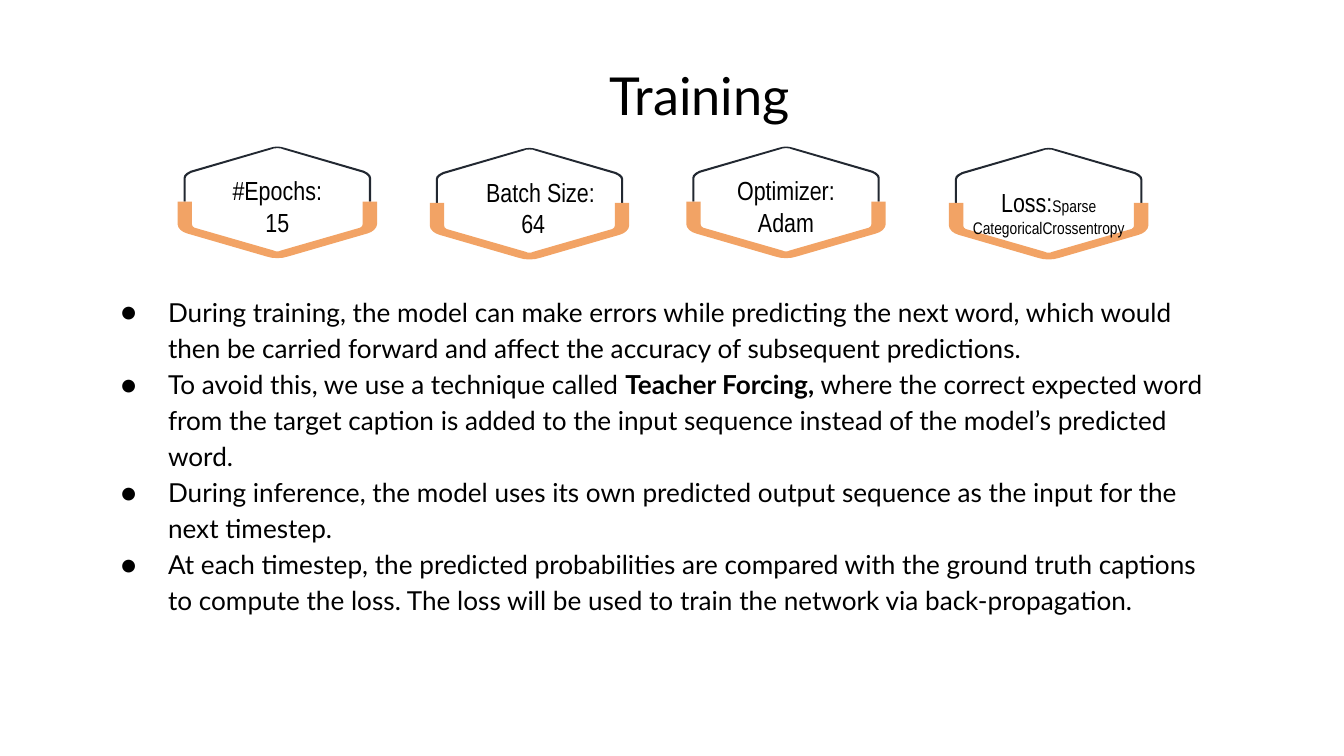
from dataclasses import dataclass

from lxml.etree import SubElement
from pptx import Presentation
from pptx.dml.color import RGBColor
from pptx.enum.text import MSO_ANCHOR, MSO_AUTO_SIZE, PP_ALIGN
from pptx.oxml.ns import qn
from pptx.util import Pt


@dataclass(frozen=True)
class Theme:
    ink: str = "000000"
    outline: str = "222831"
    accent: str = "F2A365"
    body_font: str = "Lato"
    label_font: str = "Arial Narrow"
    title_size: float = 28
    text_size: float = 14
    small_size: float = 9


@dataclass(frozen=True)
class Span:
    text: str
    size: float
    bold: bool = False


@dataclass(frozen=True)
class Line:
    spans: tuple[Span, ...]
    first_indent: float | None = None


@dataclass(frozen=True)
class Badge:
    center: float
    top: float
    lines: tuple[Line, ...]
    label_shift: float = 0
    label_height: float = 48.2


THEME = Theme()
BADGE_WIDTH = 106.8
LABEL_DROP = 7.9
BULLET_INDENT = 36
BULLET_HANG = -25.2

UPPER_HALF = (
    (0, 0), (2, 0.2), (3.9, 0.7), (46.4, 13), (48.6, 14.2), (49.8, 15.4),
    (50.2, 16.8), (50.2, 29.5), (49.1, 29.5), (49.1, 16.9), (48.6, 15.8),
    (47.4, 14.8), (45.9, 14), (3.5, 1.6), (1.8, 1), (0, 0.9),
)
LOWER_HALF = (
    (0, 59.8), (3, 59.6), (5.8, 58.9), (48.2, 46.6), (50.2, 45.8),
    (51.8, 44.7), (53, 43.2), (53.4, 41.7), (53.4, 29.5), (45.7, 29.5),
    (45.7, 41.7), (45.4, 42.7), (44.4, 43.5), (2, 55.7), (1, 56.1), (0, 56.2),
)


def plain(text: str, first_indent: float | None = None) -> Line:
    return Line((Span(text, THEME.text_size),), first_indent)


BADGES = (
    Badge(148.6, 78.5, (plain("#Epochs:"), plain("15"))),
    Badge(283.7, 79.2, (plain("Batch Size:"), plain("64", 36)), label_shift=5.9),
    Badge(421.1, 78.5, (plain("Optimizer:"), plain("Adam"))),
    Badge(561.8, 79.2, (
        Line((Span("Loss:", THEME.text_size), Span("Sparse", THEME.small_size))),
        Line((Span("CategoricalCrossentropy", THEME.small_size),)),
    ), label_height=53.3),
)
BULLETS = (
    plain("During training, the model can make errors while predicting the next word, "
          "which would then be carried forward and affect the accuracy of subsequent predictions."),
    Line((
        Span("To avoid this, we use a technique called ", THEME.text_size),
        Span("Teacher Forcing,", THEME.text_size, bold=True),
        Span(" where the correct expected word from the target caption is added to the "
             "input sequence instead of the model’s predicted word.", THEME.text_size),
    )),
    plain("During inference, the model uses its own predicted output sequence as the "
          "input for the next timestep."),
    plain("At each timestep, the predicted probabilities are compared with the ground truth "
          "captions to compute the loss. The loss will be used to train the network via "
          "back-propagation."),
)


def write(para, text: str, *, font: str, size: float, bold: bool = False) -> None:
    run = para.add_run()
    run.text = text
    run.font.name = font
    run.font.size = Pt(size)
    run.font.bold = bold
    run.font.color.rgb = RGBColor.from_string(THEME.ink)


def place(shape, left: float, top: float, width: float, height: float) -> None:
    shape.left, shape.top = Pt(left), Pt(top)
    shape.width, shape.height = Pt(width), Pt(height)


def prepare(frame, anchor: MSO_ANCHOR) -> None:
    frame.auto_size = MSO_AUTO_SIZE.NONE
    frame.word_wrap = True
    frame.vertical_anchor = anchor
    frame.margin_left = frame.margin_right = Pt(7.2)
    frame.margin_top = frame.margin_bottom = Pt(7.2)


def add_para(frame, position: int, line: Line, font: str):
    para = frame.add_paragraph() if position else frame.paragraphs[0]
    for span in line.spans:
        write(para, span.text, font=font, size=span.size, bold=span.bold)
    return para


def set_indent(para, left: float, first: float):
    properties = para._p.get_or_add_pPr()
    properties.set("marL", str(Pt(left)))
    properties.set("indent", str(Pt(first)))
    return properties


def add_bullet(para) -> None:
    properties = set_indent(para, BULLET_INDENT, BULLET_HANG)
    color = SubElement(properties, qn("a:buClr"))
    SubElement(color, qn("a:srgbClr")).set("val", THEME.ink)
    SubElement(properties, qn("a:buFont")).set("typeface", THEME.body_font)
    SubElement(properties, qn("a:buChar")).set("char", "●")


def draw_band(page, badge: Badge, half: tuple, color: str) -> None:
    outline = half + tuple((-x, y) for x, y in reversed(half))
    points = [(Pt(badge.center + x), Pt(badge.top + y)) for x, y in outline]
    builder = page.shapes.build_freeform(*points[0])
    builder.add_line_segments(points[1:], close=True)
    band = builder.convert_to_shape()
    band.shadow.inherit = False
    band.fill.solid()
    band.fill.fore_color.rgb = RGBColor.from_string(color)
    band.line.fill.background()


def draw_badge(page, badge: Badge) -> None:
    draw_band(page, badge, UPPER_HALF, THEME.outline)
    draw_band(page, badge, LOWER_HALF, THEME.accent)
    box = page.shapes.add_textbox(
        Pt(badge.center - BADGE_WIDTH / 2 + badge.label_shift),
        Pt(badge.top + LABEL_DROP), Pt(BADGE_WIDTH), Pt(badge.label_height))
    prepare(box.text_frame, MSO_ANCHOR.MIDDLE)
    for position, line in enumerate(badge.lines):
        para = add_para(box.text_frame, position, line, THEME.label_font)
        if line.first_indent is None:
            para.alignment = PP_ALIGN.CENTER
        else:
            set_indent(para, 0, line.first_indent)


def draw_title(page, text: str) -> None:
    title = page.shapes.title
    place(title, 82.8, 32.4, 583.9, 36.7)
    prepare(title.text_frame, MSO_ANCHOR.MIDDLE)
    para = title.text_frame.paragraphs[0]
    para.alignment = PP_ALIGN.CENTER
    write(para, text, font=THEME.body_font, size=THEME.title_size)


def draw_body(page, lines: tuple[Line, ...]) -> None:
    body = page.placeholders[1]
    place(body, 46.8, 149, 612, 239)
    prepare(body.text_frame, MSO_ANCHOR.TOP)
    for position, line in enumerate(lines):
        para = add_para(body.text_frame, position, line, THEME.body_font)
        add_bullet(para)
        para.line_spacing = 1.15
        para.space_before = Pt(0)


def main() -> None:
    """Build the training settings slide and save it."""
    deck = Presentation()
    deck.slide_width, deck.slide_height = Pt(720), Pt(405)
    page = deck.slides.add_slide(deck.slide_layouts[1])
    draw_title(page, "Training")
    draw_body(page, BULLETS)
    for badge in BADGES:
        draw_badge(page, badge)
    deck.save("out.pptx")


if __name__ == "__main__":
    main()
